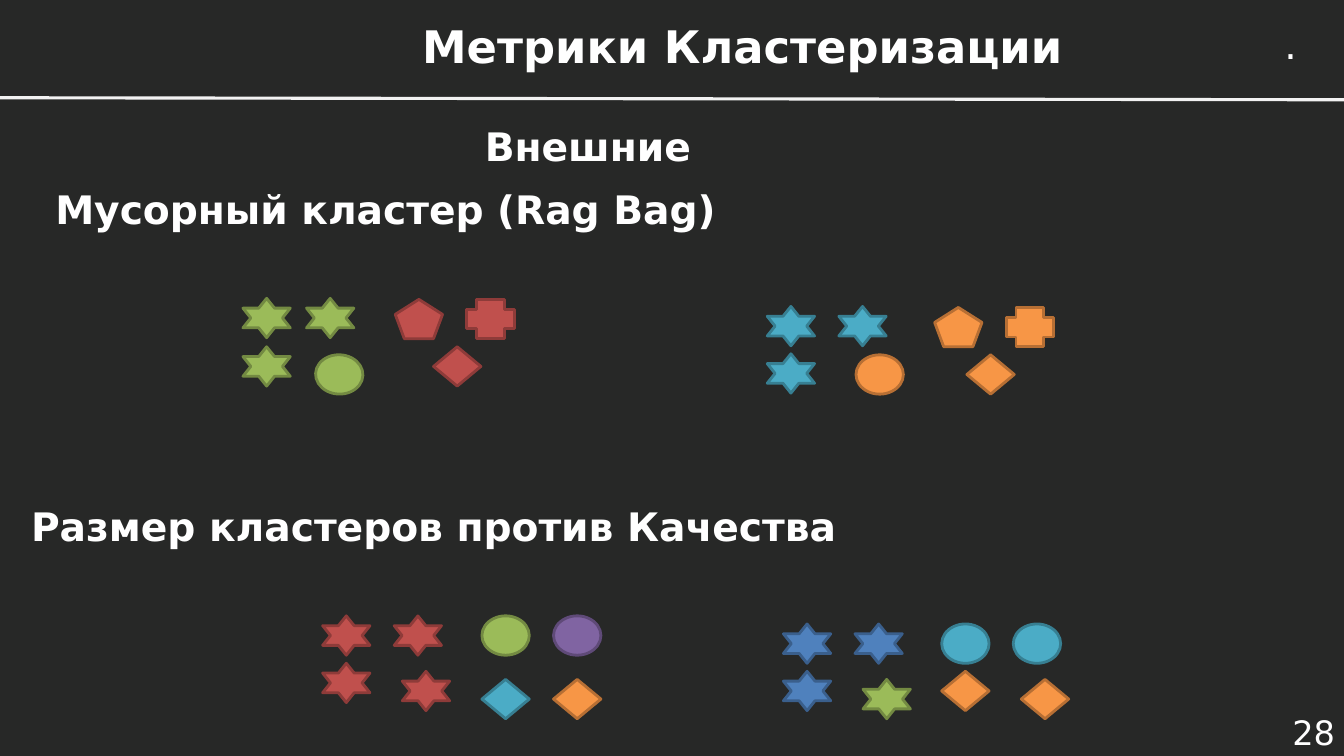
from pptx import Presentation
from pptx.dml.color import RGBColor
from pptx.enum.shapes import MSO_CONNECTOR, MSO_SHAPE
from pptx.enum.text import MSO_ANCHOR, PP_ALIGN
from pptx.oxml.ns import qn
from pptx.util import Inches, Pt
from lxml import etree

FONT = "DejaVu Sans"
BACK = RGBColor(0x27, 0x28, 0x27)
WHITE = RGBColor(0xFF, 0xFF, 0xFF)
RULE = RGBColor(0xF2, 0xF2, 0xF2)

# Each paint is a fill and its darker outline
GREEN = RGBColor(0x9B, 0xBB, 0x59), RGBColor(0x73, 0x8A, 0x42)
RED = RGBColor(0xC0, 0x50, 0x4D), RGBColor(0x8E, 0x3B, 0x39)
TEAL = RGBColor(0x4B, 0xAC, 0xC6), RGBColor(0x37, 0x7F, 0x92)
ORANGE = RGBColor(0xF7, 0x96, 0x46), RGBColor(0xB7, 0x6F, 0x34)
PURPLE = RGBColor(0x80, 0x64, 0xA2), RGBColor(0x5F, 0x4A, 0x78)
BLUE = RGBColor(0x4F, 0x81, 0xBD), RGBColor(0x3A, 0x5F, 0x8C)

STAR = MSO_SHAPE.STAR_6_POINT
PENTA = MSO_SHAPE.REGULAR_PENTAGON
PLUS = MSO_SHAPE.CROSS
OVAL = MSO_SHAPE.OVAL
GEM = MSO_SHAPE.FLOWCHART_DECISION
MARK_W, MARK_H = 0.47, 0.39

# Marks of a cluster: kind, paint, offset right, offset down, turn
RAG_LEFT = [
    (STAR, GREEN, 0, 0, 0), (STAR, GREEN, 0, 0.48, 0),
    (STAR, GREEN, 0.63, 0, 0), (OVAL, GREEN, 0.72, 0.56, 2.5),
    (PENTA, RED, 1.51, 0.01, 0), (GEM, RED, 1.89, 0.48, 0),
    (PLUS, RED, 2.22, 0.01, 0),
]
RAG_RIGHT = [
    (STAR, TEAL, 0, 0, 0), (STAR, TEAL, 0, 0.47, 0),
    (STAR, TEAL, 0.71, 0, 0), (OVAL, ORANGE, 0.88, 0.48, 0),
    (PENTA, ORANGE, 1.66, 0.01, 0), (GEM, ORANGE, 1.98, 0.48, 0),
    (PLUS, ORANGE, 2.37, 0.01, 0),
]
SIZE_LEFT = [
    (STAR, RED, 0, 0, 0), (STAR, RED, 0, 0.47, 0),
    (STAR, RED, 0.79, 0.55, 0), (STAR, RED, 0.71, 0, 0),
    (OVAL, GREEN, 1.58, 0, 0), (OVAL, PURPLE, 2.29, 0, 0),
    (GEM, TEAL, 1.58, 0.63, 0), (GEM, ORANGE, 2.29, 0.63, 0),
]
SIZE_RIGHT = [
    (STAR, BLUE, 0, 0, 0), (STAR, BLUE, 0, 0.47, 0),
    (STAR, GREEN, 0.79, 0.55, 0), (STAR, BLUE, 0.71, 0, 0),
    (OVAL, TEAL, 1.57, 0, 0), (OVAL, TEAL, 2.28, 0, 0),
    (GEM, ORANGE, 1.57, 0.47, 0), (GEM, ORANGE, 2.36, 0.55, 0),
]


def add_text(slide, text, box, size=28, bold=True, align=PP_ALIGN.LEFT,
             anchor=MSO_ANCHOR.TOP, wrap=True):
    frame = slide.shapes.add_textbox(*map(Inches, box)).text_frame
    frame.word_wrap = wrap
    frame.vertical_anchor = anchor
    para = frame.paragraphs[0]
    para.alignment = align
    run = para.add_run()
    run.text = text
    run.font.name = FONT
    run.font.size = Pt(size)
    run.font.bold = bold
    run.font.color.rgb = WHITE


def add_head(slide, box):
    """Title, corner dot and the rule that closes the header."""
    left, top, width, height = box
    add_text(slide, "Метрики Кластеризации", (left + 3.44, top + 0.19, 7.85, 0.53),
             size=32, align=PP_ALIGN.CENTER, anchor=MSO_ANCHOR.MIDDLE)
    add_text(slide, ".", (left + 12.64, top + 0.15, 0.34, 0.57),
             bold=False, wrap=False)
    base = top + height
    rule = slide.shapes.add_connector(
        MSO_CONNECTOR.STRAIGHT, Inches(left), Inches(base - 0.02),
        Inches(left + width), Inches(base))
    rule.line.color.rgb = RULE
    rule.line.width = Pt(2.25)
    etree.SubElement(rule._element.spPr, qn("a:effectLst"))


def add_group(slide, marks, left, top):
    for kind, (fill, edge), right, down, turn in marks:
        mark = slide.shapes.add_shape(
            kind, Inches(left + right), Inches(top + down),
            Inches(MARK_W), Inches(MARK_H))
        mark.shadow.inherit = False
        mark.rotation = turn
        mark.fill.solid()
        mark.fill.fore_color.rgb = fill
        mark.line.color.rgb = edge
        mark.line.width = Pt(2)


def add_case(slide, text, box, groups):
    """Heading at the top of the box, clusters placed from its corner."""
    left, top, width, _ = box
    add_text(slide, text, (left, top, width, 0.57))
    for marks, right, down in groups:
        add_group(slide, marks, left + right, top + down)


def main():
    deck = Presentation()
    deck.slide_width, deck.slide_height = Inches(13.33), Inches(7.5)
    slide = deck.slides.add_slide(deck.slide_layouts[6])
    slide.background.fill.solid()
    slide.background.fill.fore_color.rgb = BACK

    add_head(slide, (0, 0, 13.33, 0.99))
    add_text(slide, "Внешние", (4.71, 1.16, 3.25, 0.57))
    add_case(slide, "Мусорный кластер (Rag Bag)", (0.45, 1.79, 13.15, 2.2),
             [(RAG_LEFT, 1.96, 1.17), (RAG_RIGHT, 7.16, 1.25)])
    add_case(slide, "Размер кластеров против Качества", (0.21, 4.93, 12.91, 2.2),
             [(SIZE_LEFT, 2.99, 1.18), (SIZE_RIGHT, 7.56, 1.26)])
    add_text(slide, "28", (12.29, 7.05, 1.05, 0.42), size=24, bold=False,
             align=PP_ALIGN.RIGHT, anchor=MSO_ANCHOR.MIDDLE)
    deck.save("out.pptx")


if __name__ == "__main__":
    main()
